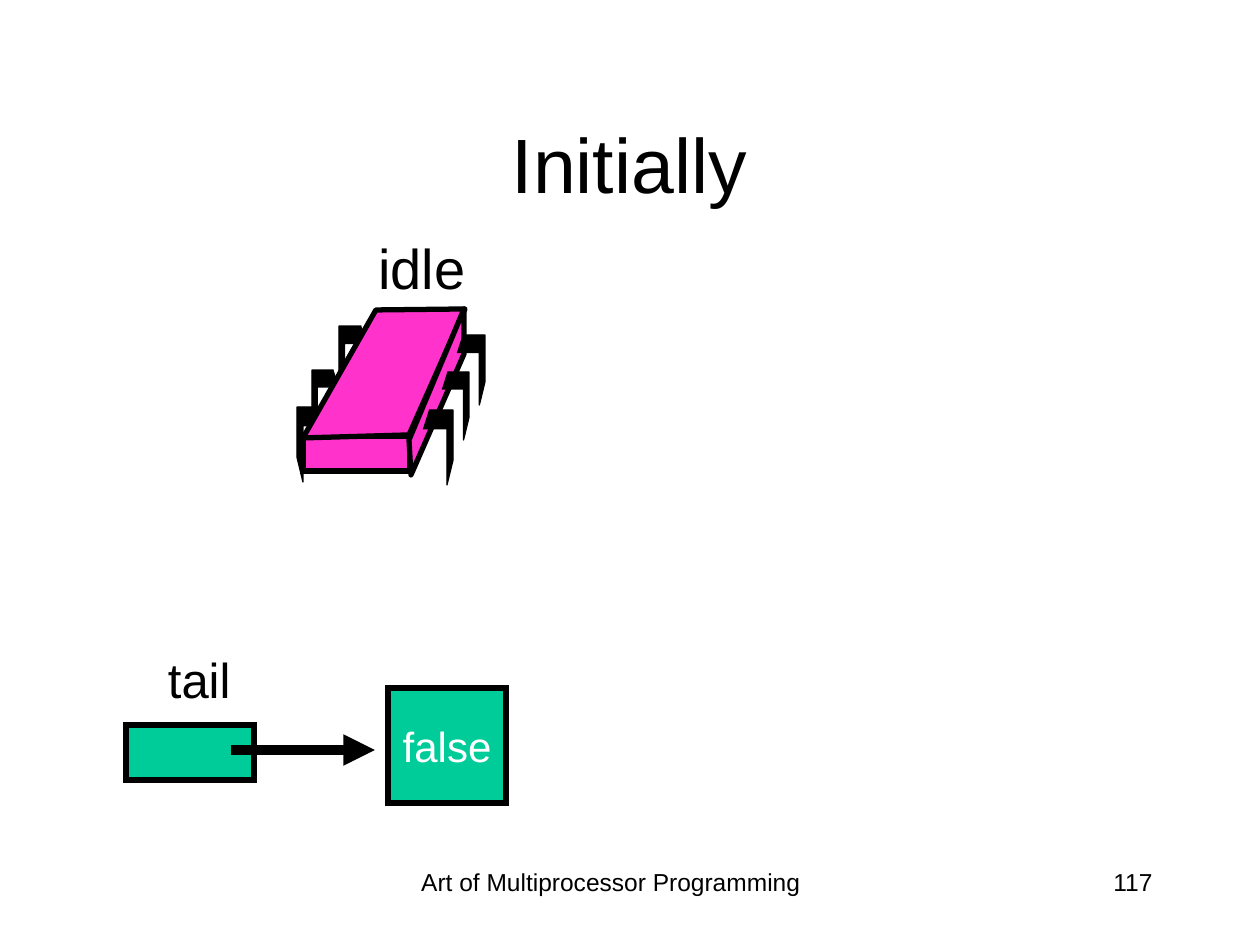
from dataclasses import dataclass

from lxml import etree
from pptx import Presentation
from pptx.dml.color import RGBColor
from pptx.enum.shapes import MSO_CONNECTOR, MSO_SHAPE
from pptx.enum.text import MSO_ANCHOR, MSO_AUTO_SIZE, PP_ALIGN
from pptx.oxml.ns import qn
from pptx.util import Emu, Pt

CENTER, RIGHT = PP_ALIGN.CENTER, PP_ALIGN.RIGHT
TOP, MIDDLE = MSO_ANCHOR.TOP, MSO_ANCHOR.MIDDLE
GROW, FIXED = MSO_AUTO_SIZE.SHAPE_TO_FIT_TEXT, MSO_AUTO_SIZE.NONE
RECT, STRAIGHT = MSO_SHAPE.RECTANGLE, MSO_CONNECTOR.STRAIGHT


@dataclass(frozen=True)
class Theme:
    font: str = "Arial"
    ink: str = "000000"
    paper: str = "FFFFFF"
    node: str = "00CC99"
    thread: str = "FF33CC"
    title: int = 44
    state: int = 32
    label: int = 28
    value: int = 24
    footer: int = 14
    thin: float = 0.75
    outline: int = 3
    arrow: int = 6


T = Theme()
SLIDE = (1260, 945)

TEXTS = [
    ("Art of Multiprocessor Programming", (364, 861, 494, 63), T.footer, CENTER, TOP, True),
    ("117", (903, 861, 262, 63), T.footer, RIGHT, TOP, True),
    ("Initially", (94, 84, 1071, 158), T.title, CENTER, MIDDLE, True),
    ("tail", (153, 643, 90, 72), T.label, RIGHT, TOP, False),
    ("idle", (364, 227, 116, 81), T.state, CENTER, TOP, False),
]
NODE = ("false", (388, 688, 118, 115))
TAIL_BOX = (126, 725, 128, 55)
TAIL_ARROW = (231, 750, 375, 750)

BODY_FRONT = (303, 436, 107, 35)
BODY_FACES = [
    [(303, 438), (409, 435), (465, 309), (376, 310)],
    [(464, 309), (464, 354), (411, 475), (409, 440)],
]
LEFT_LEGS = [(297, 407, 30, 75), (312, 370, 27, 68), (339, 326, 28, 70)]
RIGHT_LEGS = [(423, 410, 30, 75), (442, 372, 27, 68), (457, 335, 28, 70)]
LEG_OUTLINE = [(0.8, 0), (0, 0), (0, 0.67), (0.2, 1), (0.2, 0.25), (1, 0.25)]


def px(n):
    return Emu(round(n * 914400 / 126))


def rgb(code):
    return RGBColor.from_string(code)


def write(tf, text, size, color, align, anchor, wrap):
    tf.word_wrap = wrap
    tf.vertical_anchor = anchor
    p = tf.paragraphs[0]
    p.text = text
    p.alignment = align
    p.font.name = T.font
    p.font.size = Pt(size)
    p.font.color.rgb = rgb(color)


def add_text(s, text, box, size, align, anchor, wrap):
    tf = s.shapes.add_textbox(*map(px, box)).text_frame
    write(tf, text, size, T.ink, align, anchor, wrap)
    tf.auto_size = FIXED if wrap else GROW


def paint(sp, fill, width, join):
    sp.shadow.inherit = False
    sp.fill.solid()
    sp.fill.fore_color.rgb = rgb(fill)
    sp.line.color.rgb = rgb(T.ink)
    sp.line.width = Pt(width)
    etree.SubElement(sp.line._get_or_add_ln(), qn(f"a:{join}"))


def add_box(s, box, fill):
    sp = s.shapes.add_shape(RECT, *map(px, box))
    paint(sp, fill, T.outline, "miter")
    return sp


def add_outline(s, points, fill, width, close):
    start, *rest = [(px(x), px(y)) for x, y in points]
    fb = s.shapes.build_freeform(*start, scale=1.0)
    fb.add_line_segments(rest, close=close)
    paint(fb.convert_to_shape(), fill, width, "round")


def add_legs(s, legs, mirrored):
    for x, y, w, h in legs:
        points = [(x + w * (1 - u if mirrored else u), y + h * v) for u, v in LEG_OUTLINE]
        add_outline(s, points, T.ink, T.thin, False)


def add_arrow(s, ends):
    cx = s.shapes.add_connector(STRAIGHT, *map(px, ends))
    cx.line.color.rgb = rgb(T.ink)
    cx.line.width = Pt(T.arrow)
    etree.SubElement(cx.line._get_or_add_ln(), qn("a:tailEnd"), type="triangle")
    etree.SubElement(cx._element.spPr, qn("a:effectLst"))


def add_thread(s):
    add_box(s, BODY_FRONT, T.thread)
    add_legs(s, LEFT_LEGS, False)
    for face in BODY_FACES:
        add_outline(s, face, T.thread, T.outline, True)
    add_legs(s, RIGHT_LEGS, True)


def main():
    prs = Presentation()
    prs.slide_width, prs.slide_height = map(px, SLIDE)
    s = prs.slides.add_slide(prs.slide_layouts[6])
    s.background.fill.solid()
    s.background.fill.fore_color.rgb = rgb(T.paper)

    value, box = NODE
    node = add_box(s, box, T.node)
    write(node.text_frame, value, T.value, T.paper, CENTER, MIDDLE, False)
    add_box(s, TAIL_BOX, T.node)
    add_arrow(s, TAIL_ARROW)
    add_thread(s)
    for text in TEXTS:
        add_text(s, *text)
    prs.save("out.pptx")


if __name__ == "__main__":
    main()
